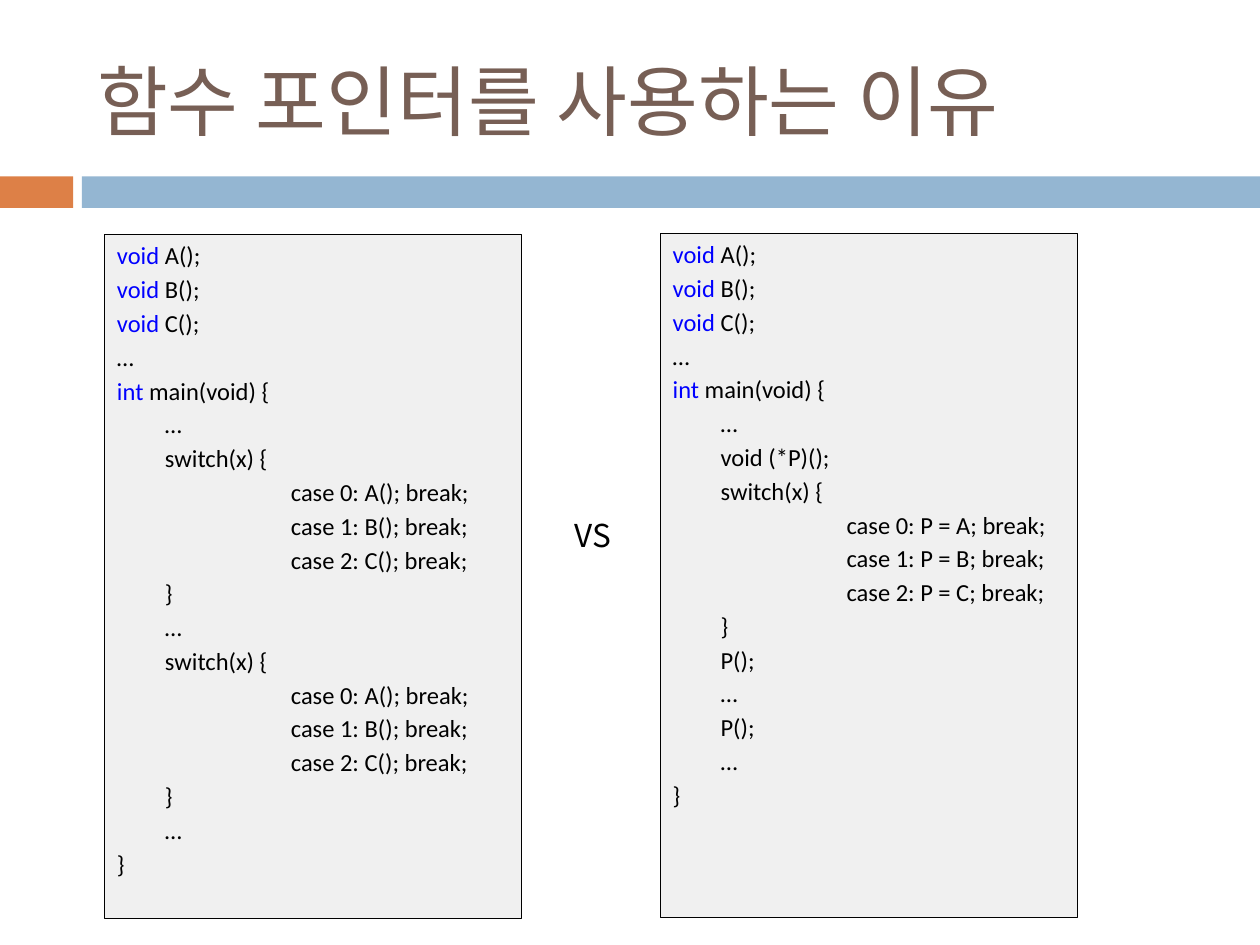
import pptx
import pptx.dml.color
import pptx.enum.shapes
import pptx.enum.text
import pptx.util

Inches = pptx.util.Inches
Pt = pptx.util.Pt
RGBColor = pptx.dml.color.RGBColor
ANCHOR = pptx.enum.text.MSO_ANCHOR
ALIGN = pptx.enum.text.PP_ALIGN
RECT = pptx.enum.shapes.MSO_SHAPE.RECTANGLE

ORANGE = RGBColor(0xDD, 0x80, 0x47)
BLUE = RGBColor(0x94, 0xB6, 0xD2)
BROWN = RGBColor(0x77, 0x5F, 0x55)
GRAY = RGBColor(0xF0, 0xF0, 0xF0)
BLACK = RGBColor(0, 0, 0)
KEYWORD = RGBColor(0, 0, 0xFF)

DECLARATIONS = ["void A();", "void B();", "void C();", "…", "int main(void) {", "\t…"]
KEYWORDS = ("void", "int")


def switch_lines(pattern):
    """Return the lines of a switch that handles A, B and C."""
    cases = [f"\t\tcase {i}: {pattern.format(name)}; break;" for i, name in enumerate("ABC")]
    return ["\tswitch(x) {", *cases, "\t}"]


def set_attributes(obj, values):
    """Set each named attribute on an object."""
    for name, value in values.items():
        setattr(obj, name, value)


def add_run(p, text, size, color, font="Calibri"):
    """Append a formatted run to a paragraph."""
    r = p.add_run()
    r.text = text
    set_attributes(r.font, {"name": font, "size": Pt(size)})
    r.font.color.rgb = color


def set_title(s, text):
    """Place and format the title."""
    sp = s.shapes.title
    set_attributes(sp, {"left": Inches(0.67), "top": Inches(0.25),
                        "width": Inches(8.92), "height": Inches(1.08)})
    set_attributes(sp.text_frame, {"vertical_anchor": ANCHOR.MIDDLE, "word_wrap": True})
    p = sp.text_frame.paragraphs[0]
    p.alignment = ALIGN.LEFT
    add_run(p, text, 44, BROWN)


def add_rect(s, left, top, width, height, fill):
    """Add a plain filled rectangle."""
    sp = s.shapes.add_shape(RECT, Inches(left), Inches(top), Inches(width), Inches(height))
    sp.shadow.inherit = False
    sp.fill.solid()
    sp.fill.fore_color.rgb = fill
    sp.line.fill.background()
    return sp


def add_code_line(p, line):
    """Write a line of code, colouring a leading keyword."""
    set_attributes(p, {"alignment": ALIGN.LEFT, "space_before": Pt(2.5)})
    indent = Inches(0.38)
    for name, value in {"marL": indent, "indent": -indent, "defTabSz": Inches(1)}.items():
        p._p.get_or_add_pPr().set(name, str(value))
    word = line.split(" ")[0]
    if word in KEYWORDS:
        add_run(p, word, 14, KEYWORD)
        line = line[len(word):]
    add_run(p, line, 14, BLACK)


def add_code_box(s, left, top, lines):
    """Add a bordered box of code."""
    sp = add_rect(s, left, top, 3.31, 5.43, GRAY)
    sp.line.color.rgb = BLACK
    sp.line.width = Pt(0.25)
    tf = sp.text_frame
    set_attributes(tf, {"vertical_anchor": ANCHOR.TOP, "word_wrap": True})
    for i, line in enumerate(lines):
        add_code_line(tf.add_paragraph() if i else tf.paragraphs[0], line)


def add_label(s, left, top, width, height, text):
    """Add a short label that does not wrap."""
    sp = s.shapes.add_textbox(Inches(left), Inches(top), Inches(width), Inches(height))
    set_attributes(sp.text_frame, {"word_wrap": False,
                                   "auto_size": pptx.enum.text.MSO_AUTO_SIZE.SHAPE_TO_FIT_TEXT})
    add_run(sp.text_frame.paragraphs[0], text, 18, BLACK, "Noto Sans CJK KR")


def main():
    """Build the slide and save it."""
    prs = pptx.Presentation()
    set_attributes(prs, {"slide_width": Inches(10), "slide_height": Inches(7.5)})
    s = prs.slides.add_slide(prs.slide_layouts[5])
    add_rect(s, 0, 1.4, 0.58, 0.25, ORANGE)
    add_rect(s, 0.65, 1.4, 9.35, 0.25, BLUE)
    set_title(s, "함수 포인터를 사용하는 이유")
    direct = (switch_lines("{}()") + ["\t…"]) * 2
    pointer = ["\tvoid (*P)();", *switch_lines("P = {}"), *["\tP();", "\t…"] * 2]
    add_code_box(s, 0.83, 1.86, [*DECLARATIONS, *direct, "}"])
    add_code_box(s, 5.24, 1.85, [*DECLARATIONS, *pointer, "}"])
    add_label(s, 4.46, 4.05, 0.54, 0.4, "VS")
    prs.save("out.pptx")


if __name__ == "__main__":
    main()
